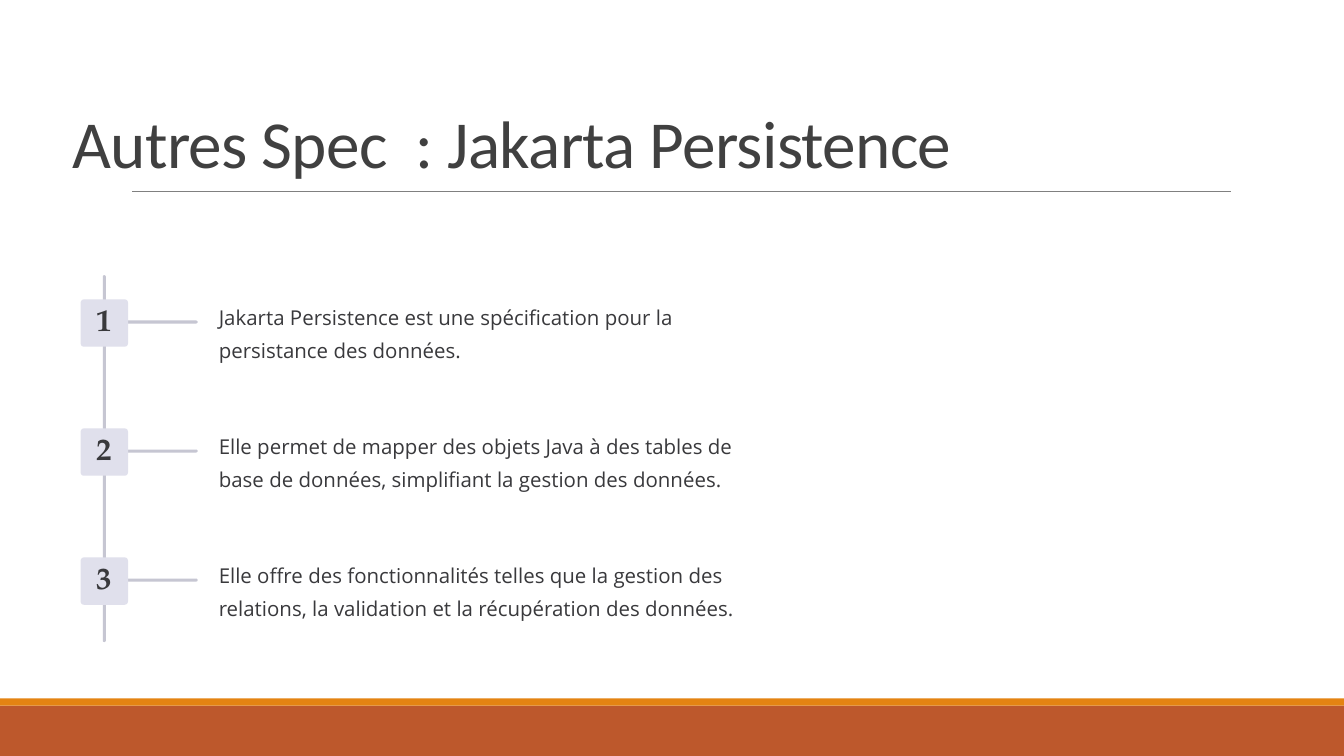
from pptx import Presentation
from pptx.dml.color import RGBColor
from pptx.enum.shapes import MSO_CONNECTOR, MSO_SHAPE
from pptx.enum.text import MSO_ANCHOR, PP_ALIGN
from pptx.oxml.ns import qn
from pptx.util import Inches, Pt
from lxml import etree

RECT = MSO_SHAPE.RECTANGLE
ROUNDED = MSO_SHAPE.ROUNDED_RECTANGLE
LEFT, CENTER = PP_ALIGN.LEFT, PP_ALIGN.CENTER

RAIL = "C6C6D2"
BADGE = "E0E0EC"
INK = "39393C"

STEPS = [
    "Jakarta Persistence est une spécification pour la persistance des données.",
    "Elle permet de mapper des objets Java à des tables de base de données, "
    "simplifiant la gestion des données.",
    "Elle offre des fonctionnalités telles que la gestion des relations, "
    "la validation et la récupération des données.",
]
FIRST_TOP, STEP_PITCH = 2.97, 1.28
BADGE_LEFT, BADGE_SIZE = 0.8, 0.47

prs = Presentation()
prs.slide_width, prs.slide_height = Inches(13.33), Inches(7.5)
slide = prs.slides.add_slide(prs.slide_layouts[6])


def add_block(left, top, width, height, color, kind=RECT, rounding=None):
    block = slide.shapes.add_shape(
        kind, Inches(left), Inches(top), Inches(width), Inches(height))
    block.shadow.inherit = False
    block.fill.solid()
    block.fill.fore_color.rgb = RGBColor.from_string(color)
    block.line.fill.background()
    if rounding is not None:
        block.adjustments[0] = rounding


def add_text(text, left, top, width, height, *, size, font, color=INK,
             bold=False, align=LEFT, leading=1.0, tracking=None):
    """Leading is a factor or a Pt length; tracking is in hundredths of a point."""
    box = slide.shapes.add_textbox(
        Inches(left), Inches(top), Inches(width), Inches(height))
    frame = box.text_frame
    frame.word_wrap = True
    frame.vertical_anchor = MSO_ANCHOR.TOP
    frame.margin_left = frame.margin_right = 0
    frame.margin_top = frame.margin_bottom = 0
    paragraph = frame.paragraphs[0]
    paragraph.alignment = align
    paragraph.line_spacing = leading
    run = paragraph.add_run()
    run.text = text
    run.font.size = Pt(size)
    run.font.name = font
    run.font.bold = bold
    run.font.color.rgb = RGBColor.from_string(color)
    if tracking is not None:
        run.font._element.set("spc", str(tracking))


# Footer bands
add_block(0, 7, 13.33, 0.5, "BD582C")
add_block(0, 6.93, 13.33, 0.07, "E48312")

# Title and its rule
title_rule = slide.shapes.add_connector(
    MSO_CONNECTOR.STRAIGHT, Inches(1.31), Inches(1.9), Inches(12.21), Inches(1.9))
title_rule.line.color.rgb = RGBColor.from_string("808080")
title_rule.line.width = Pt(0.5)
etree.SubElement(title_rule._element.spPr, qn("a:effectLst"))
add_text("Autres Spec  : Jakarta Persistence", 0.72, 1.13, 12.17, 1.29,
         size=48, font="Calibri", color="404040", leading=0.85, tracking=-50)

# Numbered timeline
add_block(1.02, 2.73, 0.03, 3.64, RAIL, ROUNDED, 0.5)
for index, sentence in enumerate(STEPS):
    top = FIRST_TOP + index * STEP_PITCH
    add_block(1.24, top + 0.21, 0.72, 0.03, RAIL, ROUNDED, 0.5)
    add_block(BADGE_LEFT, top, BADGE_SIZE, BADGE_SIZE, BADGE, ROUNDED, 0.07)
    add_text(str(index + 1), BADGE_LEFT, top + 0.07, BADGE_SIZE, 0.31,
             size=22.1, font="TeX Gyre Pagella", bold=True, align=CENTER,
             leading=Pt(22.1))
    add_text(sentence, 2.17, top - 0.03, 5.44, 0.66,
             size=14.6, font="Open Sans", leading=Pt(23.8))

prs.save("out.pptx")
